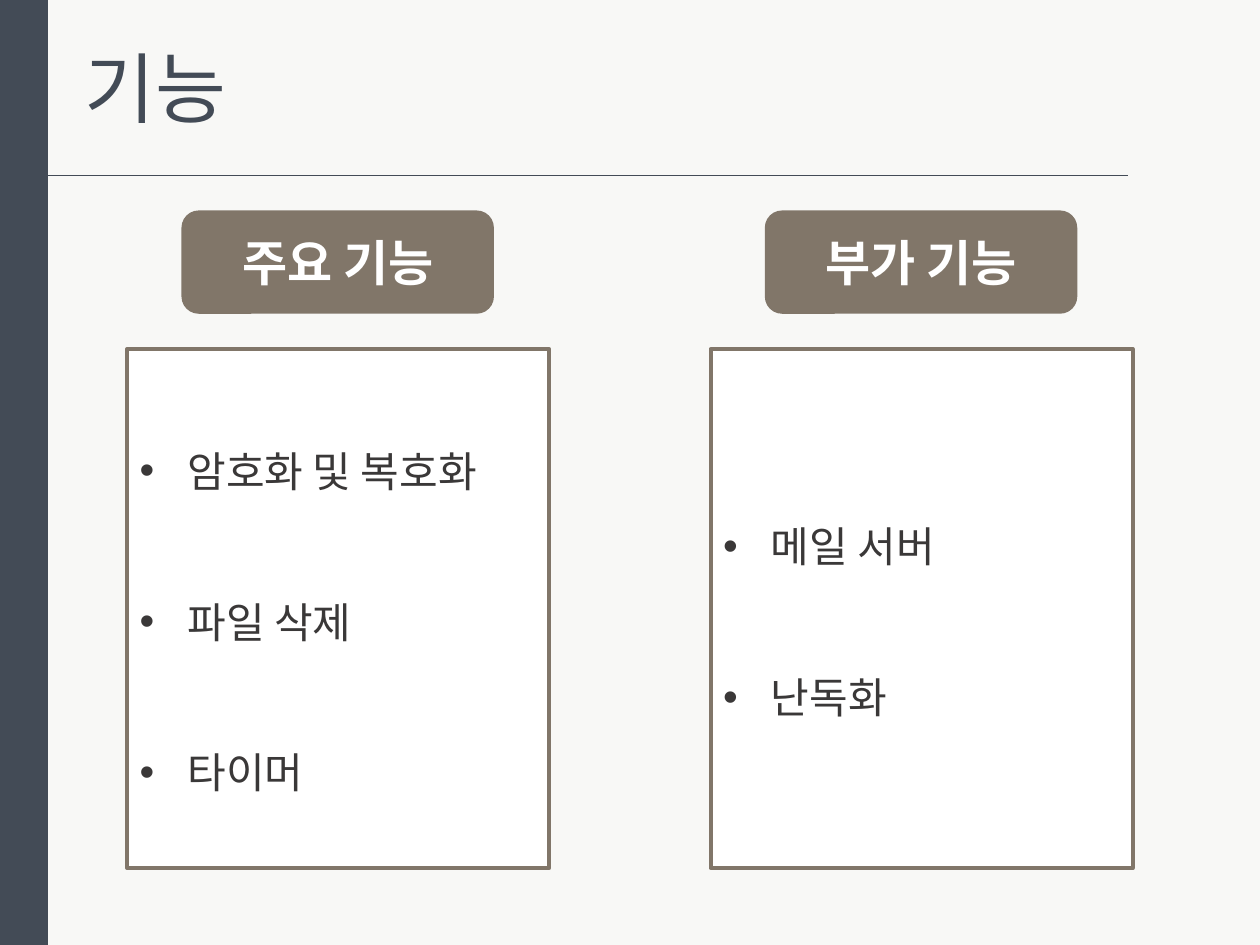
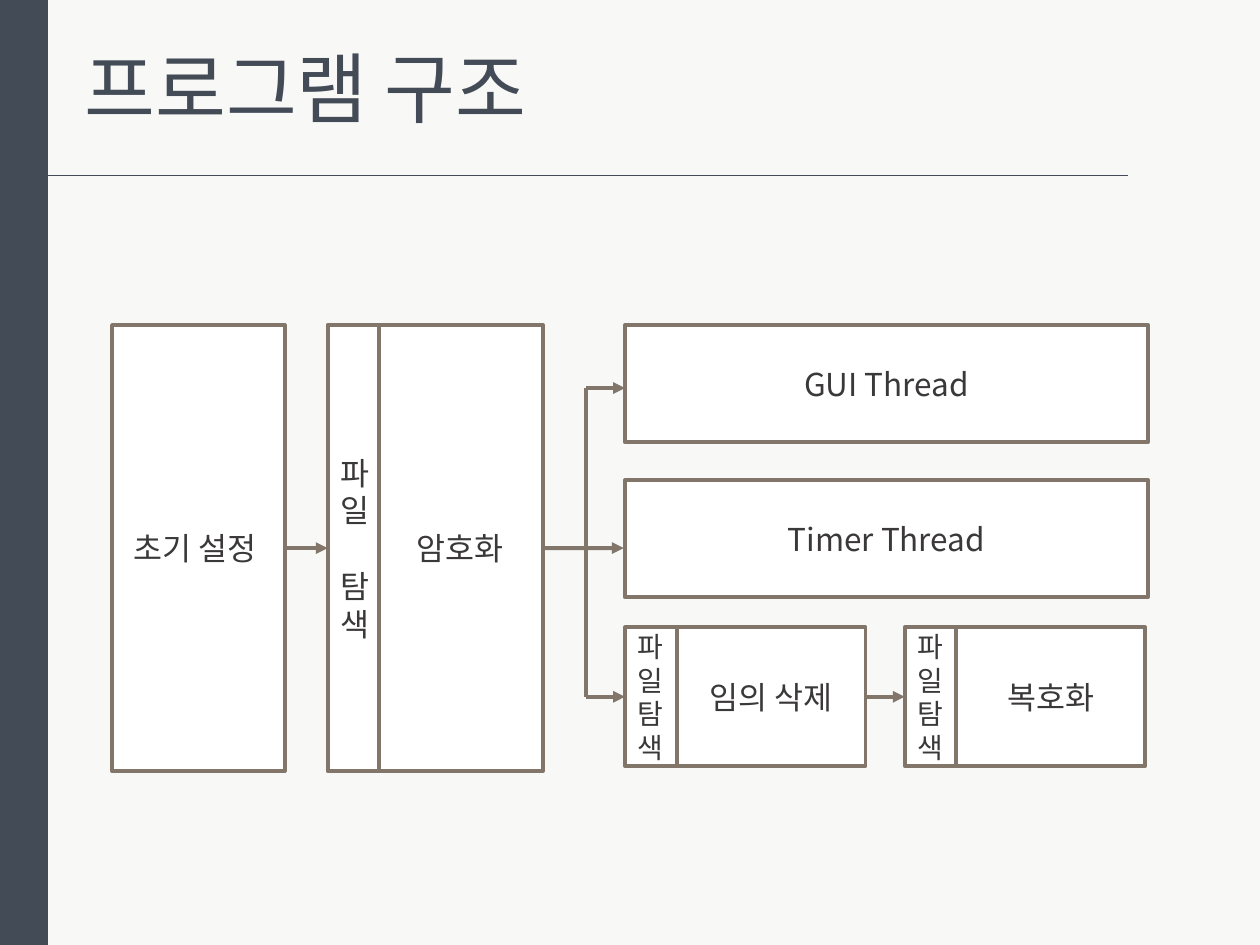
from dataclasses import dataclass

from lxml import etree
from pptx import Presentation
from pptx.dml.color import RGBColor
from pptx.enum import shapes, text
from pptx.oxml import ns
from pptx.util import Inches, Pt


@dataclass(frozen=True)
class Theme:
    font: str = "Noto Sans CJK KR"
    paper: RGBColor = RGBColor(0xF8, 0xF8, 0xF6)
    slate: RGBColor = RGBColor(0x43, 0x4B, 0x56)
    taupe: RGBColor = RGBColor(0x81, 0x76, 0x69)
    ink: RGBColor = RGBColor(0x3A, 0x38, 0x38)
    white: RGBColor = RGBColor(0xFF, 0xFF, 0xFF)
    title: int = 44
    head: int = 28
    list: int = 24
    node: int = 18
    small: int = 16
    edge: float = 2.25
    rule: float = 0.5


T = Theme()
RECT = shapes.MSO_SHAPE.RECTANGLE
ROUND = shapes.MSO_SHAPE.ROUNDED_RECTANGLE
ALIGN = text.PP_ALIGN


def box(slide, at, words="", size=T.node, color=T.ink, fill=T.white, edge=T.taupe, kind=RECT):
    """Add a filled shape with centred text; edge None leaves the outline off."""
    shape = slide.shapes.add_shape(kind, *map(Inches, at))
    shape.shadow.inherit = False
    shape.fill.solid()
    shape.fill.fore_color.rgb = fill
    if edge is None:
        shape.line.fill.background()
    else:
        shape.line.color.rgb = edge
        shape.line.width = Pt(T.edge)
    frame = shape.text_frame
    frame.word_wrap = True
    frame.vertical_anchor = text.MSO_ANCHOR.MIDDLE
    frame.text = words
    for para in frame.paragraphs:
        para.alignment = ALIGN.CENTER
        for run in para.runs:
            run.font.size = Pt(size)
            run.font.color.rgb = color
    return shape


def link(slide, start, end, color=T.taupe, width=T.edge, arrow=True):
    line = slide.shapes.add_connector(
        shapes.MSO_CONNECTOR.STRAIGHT, *map(Inches, start + end))
    line.line.color.rgb = color
    line.line.width = Pt(width)
    props = line._element.spPr
    if arrow:
        etree.SubElement(props.find(ns.qn("a:ln")), ns.qn("a:tailEnd"), type="triangle")
    etree.SubElement(props, ns.qn("a:effectLst"))
    return line


deck = Presentation()
deck.slide_width, deck.slide_height = Inches(10), Inches(7.5)

# Shared band, rule and title
for name, width in (("기능", 1.44), ("프로그램 구조", 4.04)):
    slide = deck.slides.add_slide(deck.slide_layouts[5])
    slide.background.fill.solid()
    slide.background.fill.fore_color.rgb = T.paper
    box(slide, (0, 0, 0.38, 7.5), fill=T.slate, edge=None)
    link(slide, (0.38, 1.39), (8.95, 1.39), T.slate, T.rule, arrow=False)
    title = slide.shapes.title
    title.left, title.top, title.width, title.height = map(Inches, (0.57, 0.27, width, 0.84))
    frame = title.text_frame
    frame.text = name
    frame.word_wrap = False
    frame.auto_size = text.MSO_AUTO_SIZE.SHAPE_TO_FIT_TEXT
    frame.vertical_anchor = text.MSO_ANCHOR.TOP
    para = frame.paragraphs[0]
    para.alignment = ALIGN.LEFT
    para.runs[0].font.size = Pt(T.title)
    para.runs[0].font.color.rgb = T.slate

feats, flow = deck.slides

# Feature columns
for left, head, items in (
    (1.01, "주요 기능", ("암호화 및 복호화", "파일 삭제", "타이머")),
    (5.64, "부가 기능", ("메일 서버", "난독화")),
):
    tag = box(feats, (left + 0.43, 1.67, 2.48, 0.82), head, T.head, T.white, T.taupe, None, ROUND)
    tag.text_frame.paragraphs[0].runs[0].font.bold = True
    panel = box(feats, (left, 2.77, 3.35, 4.12), "\n".join(items), T.list)
    for spot, para in enumerate(panel.text_frame.paragraphs):
        para.alignment = ALIGN.JUSTIFY
        para.line_spacing = 1.5
        if spot:
            para.space_before = Pt(43)
        props = para._p.get_or_add_pPr()
        props.set("marL", str(Inches(0.38)))
        props.set("indent", str(-Inches(0.38)))
        etree.SubElement(props, ns.qn("a:buFont"), typeface="Arial")
        etree.SubElement(props, ns.qn("a:buChar"), char="•")

# Program flow
top, tall, low, short = 2.58, 3.54, 4.98, 1.1
mid, base = top + tall / 2, low + short / 2
scan = "파일 탐색"
setup = box(flow, (0.89, top, 1.37, tall), "초기 설정 ")
lock = box(flow, (2.99, top, 1.32, tall), "암호화")
seek = box(flow, (2.6, top, 0.41, tall), scan)
for y, name in ((top, "GUI Thread"), (3.81, "Timer Thread")):
    box(flow, (4.96, y, 4.15, 0.93), name)
steps = []
for x, name in ((4.96, "임의 삭제"), (7.18, "복호화")):
    step = box(flow, (x + 0.41, low, 1.5, short), name)
    steps.append((box(flow, (x, low, 0.41, short), scan, T.small), step))
(wipe, erase), (find, _) = steps

fork = 4.65
for start, end, source, target in (
    ((2.26, mid), (2.6, mid), setup, seek),
    ((4.31, mid), (4.95, mid), lock, None),
    ((fork, 3.08), (4.96, 3.08), None, None),
    ((fork, base), (4.96, base), None, wipe),
    ((6.87, base), (7.18, base), erase, find),
):
    arrow = link(flow, start, end)
    if source:
        arrow.begin_connect(source, 3)
    if target:
        arrow.end_connect(target, 1)
link(flow, (fork, 3.08), (fork, base), arrow=False)

# One typeface for Latin and Korean text
for slide in deck.slides:
    for shape in slide.shapes:
        if shape.has_text_frame:
            for para in shape.text_frame.paragraphs:
                for run in para.runs:
                    run.font.name = T.font
                    etree.SubElement(run._r.rPr, ns.qn("a:ea"), typeface=T.font)

deck.save("out.pptx")
